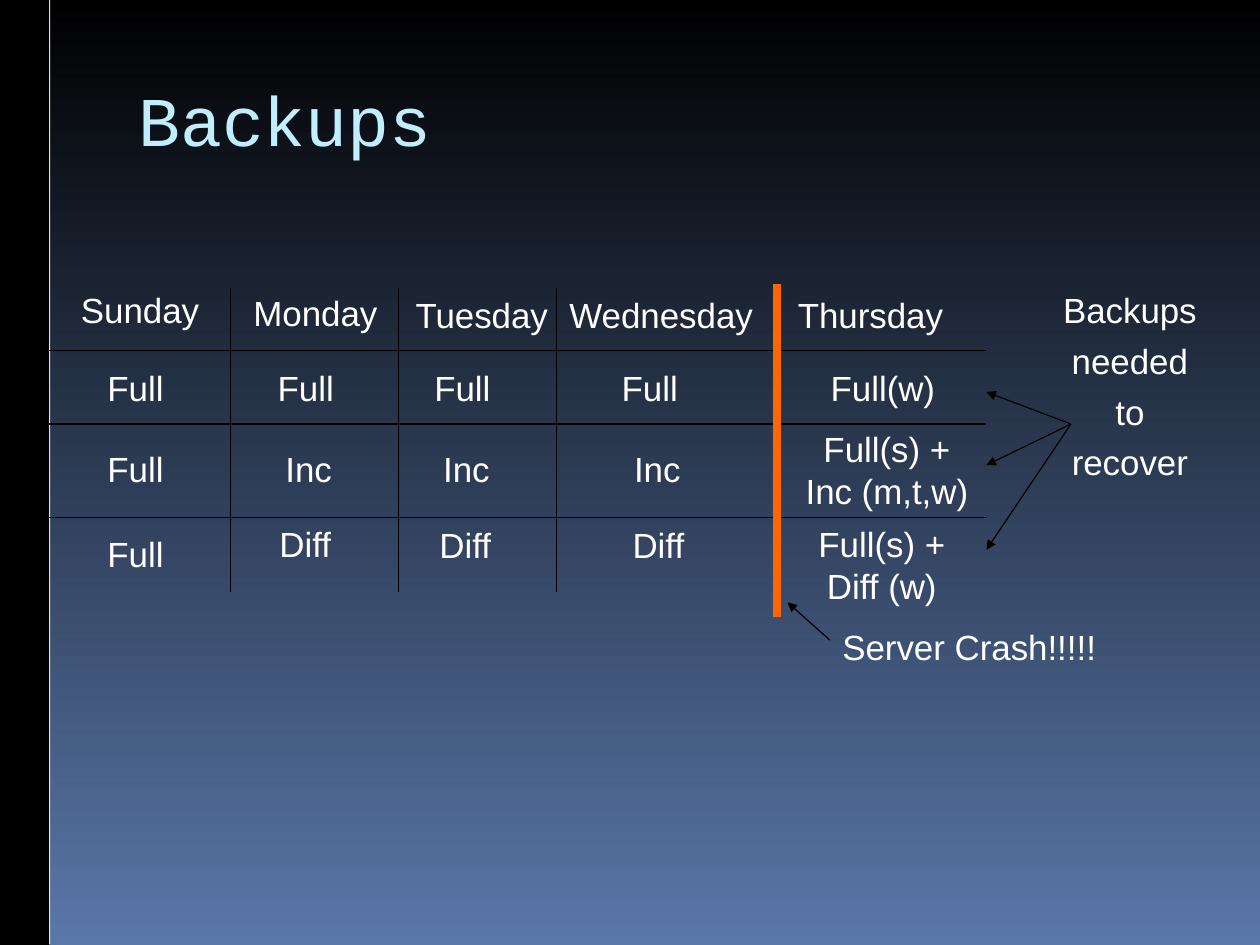
from pptx import Presentation
from pptx.dml.color import RGBColor
from pptx.enum.shapes import MSO_CONNECTOR as Connector, MSO_SHAPE as Shape
from pptx.enum.text import MSO_ANCHOR as Anchor, MSO_AUTO_SIZE as AutoSize, PP_ALIGN as Align
from pptx.oxml.ns import qn
from pptx.util import Cm, Inches, Pt
from lxml.etree import SubElement

COLORS = {
    "black": "000000",
    "white": "FFFFFF",
    "blue": "5A77A9",
    "title": "C1EEFF",
    "crash": "FF6600",
}


class SlideBuilder:
    """Holds the slide and its style."""

    body_font, body_size = "Arial", 22
    title_font, title_size = "Courier New", 44
    slack = 0.01  # room on each side that keeps a label on one line

    def __init__(self, slide):
        self.slide = slide

    def color(self, name):
        return RGBColor.from_string(COLORS[name])

    def background(self, top, bottom):
        fill = self.slide.background.fill
        fill.gradient()
        fill.gradient_angle = 270
        for stop, name, position in zip(fill.gradient_stops, (top, bottom), (0, 1)):
            stop.color.rgb = self.color(name)
            stop.position = position

    def bar(self, left, top, width, height, color):
        shape = self.slide.shapes.add_shape(
            Shape.RECTANGLE, Inches(left), Inches(top), Inches(width), Inches(height))
        shape.shadow.inherit = False
        shape.fill.solid()
        shape.fill.fore_color.rgb = self.color(color)
        shape.line.fill.background()

    def line(self, start, end, color="black", width=0.75, arrow=False, cap="flat"):
        connector = self.slide.shapes.add_connector(
            Connector.STRAIGHT, *(Inches(value) for value in (*start, *end)))
        connector.line.color.rgb = self.color(color)
        connector.line.width = Pt(width)
        outline = connector.line._get_or_add_ln()
        outline.set("cap", cap)
        if arrow:
            SubElement(outline, qn("a:tailEnd"), type="triangle")
        SubElement(connector._element.spPr, qn("a:effectLst"))

    def text_frame(self, left, top, width, height, margins):
        box = self.slide.shapes.add_textbox(
            Inches(left), Inches(top), Inches(width), Inches(height))
        frame = box.text_frame
        side, frame_top, bottom = (Inches(margin) for margin in margins)
        frame.margin_left = frame.margin_right = side
        frame.margin_top, frame.margin_bottom = frame_top, bottom
        return frame

    def run(self, paragraph, text, font, size, color):
        run = paragraph.add_run()
        run.text = text
        run.font.name = font
        run.font.size = Pt(size)
        run.font.color.rgb = self.color(color)

    def title(self, text, left, top, width, height):
        frame = self.text_frame(left, top, width, height, (0.11, 0.06, 0.23))
        frame.word_wrap = True
        frame.vertical_anchor = Anchor.MIDDLE
        paragraph = frame.paragraphs[0]
        paragraph.line_spacing = 0.9
        self.run(paragraph, text, self.title_font, self.title_size, "title")

    def label(self, lines, left, top, width, height=0.47, wrap=False):
        frame = self.text_frame(left - self.slack, top, width + 2 * self.slack, height,
                                (0.1, 0.05, 0.05))
        frame.word_wrap = wrap
        frame.auto_size = AutoSize.SHAPE_TO_FIT_TEXT
        for index, text in enumerate(lines):
            paragraph = frame.add_paragraph() if index else frame.paragraphs[0]
            paragraph.alignment = Align.CENTER
            paragraph.space_before = Pt(5.5)
            self.run(paragraph, text, self.body_font, self.body_size, "white")


def main():
    presentation = Presentation()
    presentation.slide_width = Cm(28)
    presentation.slide_height = Cm(21)
    builder = SlideBuilder(presentation.slides.add_slide(presentation.slide_layouts[6]))

    # Background, side bar and title
    builder.background("black", "blue")
    builder.bar(0, 0, 0.44, 8.26, "white")
    builder.bar(0, 0, 0.43, 8.27, "black")
    builder.title("Backups", 1.1, 0.62, 9.37, 1.1)

    # Schedule grid and crash marker
    grid_left, grid_right, grid_top, grid_bottom = 0.37, 8.63, 2.52, 5.18
    for y in (3.07, 3.71, 4.53):
        builder.line((grid_left, y), (grid_right, y))
    for x in (2.02, 3.49, 4.87):
        builder.line((x, grid_top), (x, grid_bottom))
    builder.line((6.8, grid_top), (6.8, 5.36), "crash", 5, cap="sq")

    # Days: name, left, top, width
    days = [
        ("Sunday", 0.61, 2.48, 1.23),
        ("Monday", 2.12, 2.5, 1.28),
        ("Tuesday", 3.53, 2.52, 1.37),
        ("Wednesday", 4.88, 2.52, 1.81),
        ("Thursday", 6.88, 2.52, 1.47),
    ]
    for day, left, top, width in days:
        builder.label([day], left, top, width)

    # Sunday to Wednesday: kind of backup, width, top, lefts
    backups = [
        ("Full", 0.69, 3.16, (0.84, 2.33, 3.7, 5.34)),
        ("Full", 0.69, 3.87, (0.84,)),
        ("Inc", 0.6, 3.87, (2.4, 3.78, 5.45)),
        ("Full", 0.69, 4.61, (0.84,)),
        ("Diff", 0.66, 4.52, (2.34,)),
        ("Diff", 0.66, 4.53, (3.74, 5.43)),
    ]
    for kind, width, top, lefts in backups:
        for left in lefts:
            builder.label([kind], left, top, width)

    # Thursday: backups needed to recover
    builder.label(["Full(w)"], 7.17, 3.16, 1.11)
    builder.label(["Full(s) + Inc (m,t,w)"], 6.89, 3.69, 1.74, 0.84, wrap=True)
    builder.label(["Full(s) + Diff (w)"], 6.98, 4.52, 1.47, 0.84, wrap=True)

    # Notes with arrows
    builder.label(["Backups", "needed", "to", "recover"], 9.2, 2.48, 1.37, 1.8)
    for y in (3.43, 4.07, 4.81):
        builder.line((9.37, 3.71), (grid_right, y), arrow=True)
    builder.label(["Server Crash!!!!!"], 7.27, 5.42, 2.42)
    builder.line((7.26, 5.6), (6.89, 5.27), arrow=True)

    presentation.save("out.pptx")


if __name__ == "__main__":
    main()
